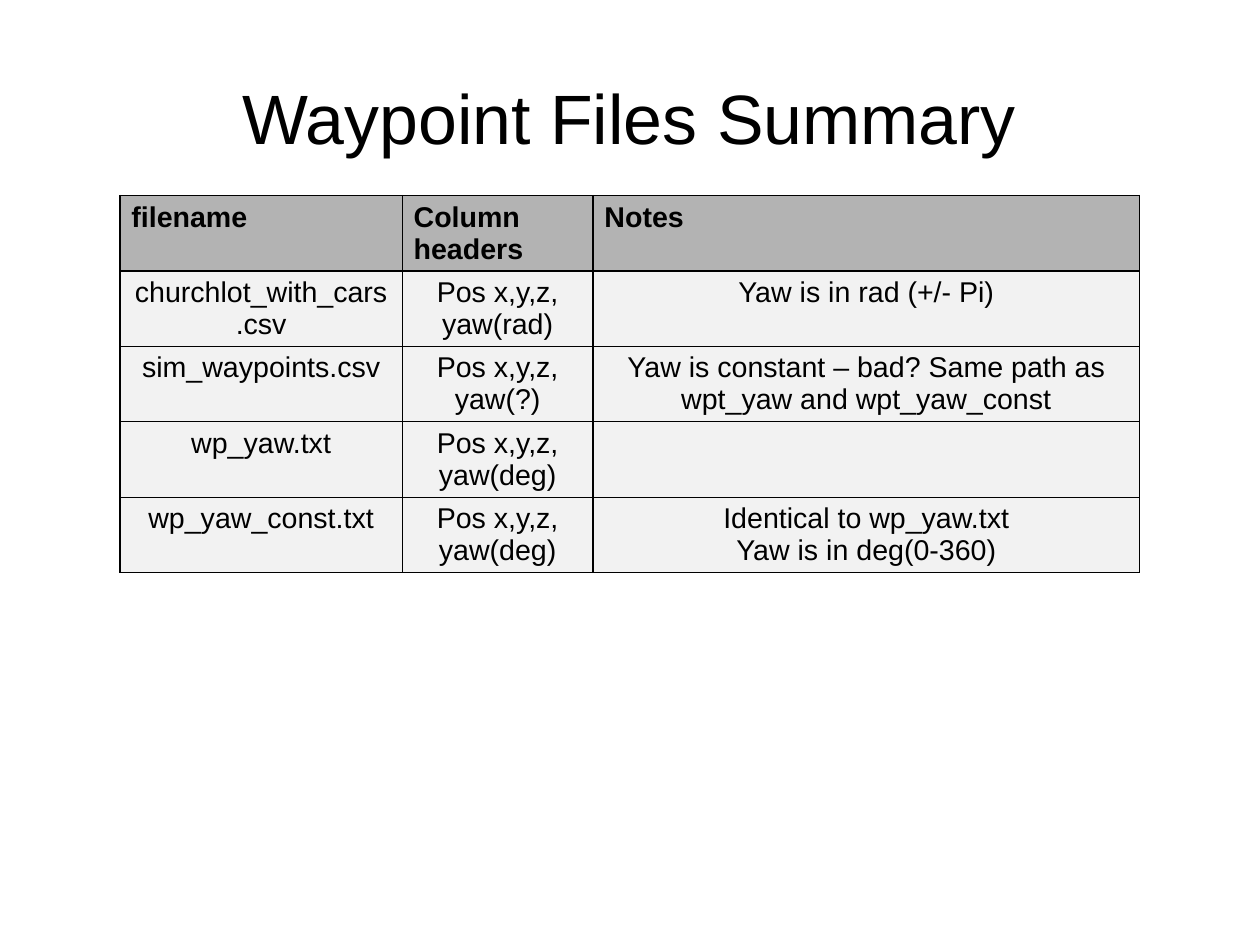
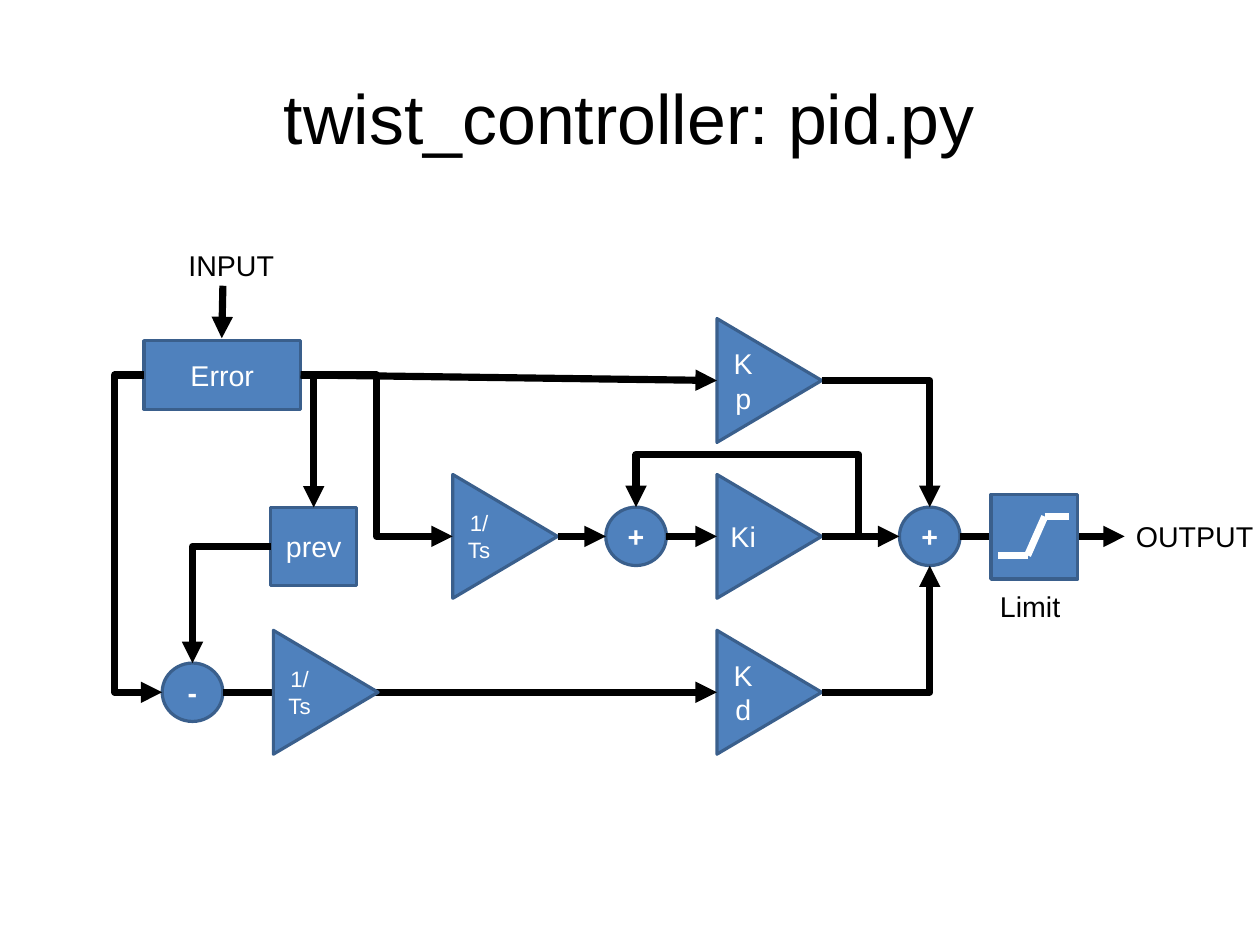
from lxml.etree import SubElement
from pptx import Presentation
from pptx.dml.color import RGBColor
from pptx.enum.shapes import MSO_CONNECTOR as CONN, MSO_SHAPE as SHAPE
from pptx.enum.text import MSO_ANCHOR as ANCHOR, MSO_AUTO_SIZE as FIT, PP_ALIGN as ALIGN
from pptx.oxml.ns import qn
from pptx.util import Pt

BLACK, WHITE, BLUE, EDGE = "000000", "FFFFFF", "4F81BD", "3A5F8C"
HEADER, BODY = "B3B3B3", "F2F2F2"
SITES = {
    SHAPE.RECTANGLE: {"top": 0, "left": 1, "bottom": 2, "right": 3},
    SHAPE.OVAL: {"top": 0, "left": 2, "bottom": 4, "right": 6},
    SHAPE.ISOSCELES_TRIANGLE: {"right": 0, "left": 3},
}
SIDES = {"top": (0, -1), "left": (-1, 0), "bottom": (0, 1), "right": (1, 0)}


def rgb(value):
    return RGBColor.from_string(value)


class Deck:
    """Holds the shared style and the slide being built."""

    def __init__(self, width, height):
        self.prs = Presentation()
        self.prs.slide_width, self.prs.slide_height = Pt(width), Pt(height)
        self.s = None

    def slide(self, title):
        self.s = self.prs.slides.add_slide(self.prs.slide_layouts[5])
        sp = self.s.shapes.title
        sp.left, sp.top, sp.width, sp.height = Pt(39.6), Pt(23.8), Pt(714.2), Pt(99.4)
        tf = sp.text_frame
        self.set_text(tf, title, 44, BLACK, ALIGN.CENTER)
        tf.margin_left = tf.margin_right = tf.margin_top = tf.margin_bottom = 0
        tf.vertical_anchor = ANCHOR.MIDDLE
        tf.auto_size = FIT.NONE

    def set_text(self, tf, text, size=18, color=BLACK, align=ALIGN.LEFT, bold=False):
        tf.text = text
        for p in tf.paragraphs:
            p.alignment = align
            for r in p.runs:
                r.font.name, r.font.size, r.font.bold = "Arial", Pt(size), bold
                r.font.color.rgb = rgb(color)

    def label(self, text, x, y, w):
        tf = self.s.shapes.add_textbox(Pt(x), Pt(y), Pt(w), Pt(29)).text_frame
        tf.word_wrap = False
        tf.auto_size = FIT.SHAPE_TO_FIT_TEXT
        self.set_text(tf, text)

    def table(self, x, y, widths, row_height, rows):
        frame = self.s.shapes.add_table(len(rows), len(widths), Pt(x), Pt(y),
                                        Pt(sum(widths)), Pt(row_height * len(rows)))
        table = frame.table
        table.first_row = table.horz_banding = False
        for column, width in zip(table.columns, widths):
            column.width = Pt(width)
        for i, row in enumerate(rows):
            table.rows[i].height = Pt(row_height)
            for j, text in enumerate(row):
                self.cell(table.cell(i, j), text, i == 0)

    def cell(self, cell, text, header):
        align = ALIGN.LEFT if header else ALIGN.CENTER
        self.set_text(cell.text_frame, text, align=align, bold=header)
        tc_pr = cell._tc.get_or_add_tcPr()
        for edge in "LRTB":
            ln = SubElement(tc_pr, qn(f"a:ln{edge}"), w=str(Pt(1)))
            SubElement(SubElement(ln, qn("a:solidFill")), qn("a:srgbClr"), val=BLACK)
        cell.fill.solid()
        cell.fill.fore_color.rgb = rgb(HEADER if header else BODY)

    def block(self, kind, text, cx, cy, w, h, size=18, bold=False):
        sp = self.s.shapes.add_shape(kind, Pt(cx - w / 2), Pt(cy - h / 2), Pt(w), Pt(h))
        sp.shadow.inherit = False
        sp.fill.solid()
        sp.fill.fore_color.rgb = rgb(BLUE)
        sp.line.color.rgb = rgb(EDGE)
        sp.line.width = Pt(2)
        sp.text_frame.vertical_anchor = ANCHOR.MIDDLE
        self.set_text(sp.text_frame, text, size, WHITE, ALIGN.CENTER, bold)
        return sp

    def gain(self, text, cx, cy, size=18):
        sp = self.block(SHAPE.ISOSCELES_TRIANGLE, text, cx, cy, 78, 66, size)
        sp.rotation = 90
        sp.text_frame._txBody.find(qn("a:bodyPr")).set("vert", "vert270")
        return sp

    def junction(self, sign, cx, cy):
        return self.block(SHAPE.OVAL, sign, cx, cy, 38.2, 36.8, bold=True)

    def line(self, x1, y1, x2, y2, color=BLACK, arrow=True, shapes=None):
        shapes = self.s.shapes if shapes is None else shapes
        c = shapes.add_connector(CONN.STRAIGHT, Pt(x1), Pt(y1), Pt(x2), Pt(y2))
        c.line.color.rgb = rgb(color)
        c.line.width = Pt(4.5)
        pr = c._element.spPr
        if arrow:
            SubElement(pr.find(qn("a:ln")), qn("a:tailEnd"), type="triangle")
        SubElement(pr, qn("a:effectLst"))
        return c

    def port(self, sp, side):
        w, h = sp.width.pt, sp.height.pt
        cx, cy = sp.left.pt + w / 2, sp.top.pt + h / 2
        if sp.rotation == 90:
            w, h = h, w
        dx, dy = SIDES[side]
        return cx + dx * w / 2, cy + dy * h / 2

    def wire(self, a, side_a, b, side_b, preset="straightConnector1", adjust=()):
        c = self.line(*self.port(a, side_a), *self.port(b, side_b))
        geom = c._element.spPr.find(qn("a:prstGeom"))
        geom.set("prst", preset)
        for i, value in enumerate(adjust, 1):
            SubElement(geom.find(qn("a:avLst")), qn("a:gd"),
                       name=f"adj{i}", fmla=f"val {round(value * 100000)}")
        links = c._element.nvCxnSpPr.cNvCxnSpPr
        for tag, sp, side in (("a:stCxn", a, side_a), ("a:endCxn", b, side_b)):
            SubElement(links, qn(tag), id=str(sp.shape_id),
                       idx=str(SITES[sp.auto_shape_type][side]))


def waypoint_slide(deck):
    deck.slide("Waypoint Files Summary")
    deck.table(75.6, 123.1, (177.8, 120.2, 344.2), 47.5, (
        ("filename", "Column headers", "Notes"),
        ("churchlot_with_cars.csv", "Pos x,y,z, yaw(rad)", "Yaw is in rad (+/- Pi)"),
        ("sim_waypoints.csv", "Pos x,y,z, yaw(?)",
         "Yaw is constant – bad? Same path as wpt_yaw and wpt_yaw_const"),
        ("wp_yaw.txt", "Pos x,y,z, yaw(deg)", ""),
        ("wp_yaw_const.txt", "Pos x,y,z, yaw(deg)",
         "Identical to wp_yaw.txt\nYaw is in deg(0-360)"),
    ))


def pid_slide(deck):
    deck.slide("twist_controller: pid.py")
    top, mid, low = (239.7 + 98.2 * i for i in range(3))
    kp, ki, kd = (deck.gain(text, 484.6, y)
                  for text, y in (("Kp", top), ("Ki", mid), ("Kd", low)))
    error = deck.block(SHAPE.RECTANGLE, "Error", 140, 236.2, 98.6, 43.2)
    prev = deck.block(SHAPE.RECTANGLE, "prev", 197.6, 344.2, 54, 49)
    minus = deck.junction("-", 121.3, low)
    plus_i = deck.junction("+", 400.7, mid)
    plus_out = deck.junction("+", 585.7, mid)

    deck.wire(minus, "right", kd, "left")
    deck.gain("1/Ts", 205.2, low, 14)
    ts = deck.gain("1/Ts", 318.2, mid, 14)

    for a, b in ((error, kp), (ts, plus_i), (plus_i, ki), (ki, plus_out)):
        deck.wire(a, "right", b, "left")
    for a, side_a, b, side_b in (
            (kp, "right", plus_out, "top"), (kd, "right", plus_out, "bottom"),
            (error, "right", prev, "top"), (prev, "left", minus, "top")):
        deck.wire(a, side_a, b, side_b, "bentConnector2")
    deck.wire(error, "left", minus, "left", "bentConnector3", (-1.6,))
    deck.wire(error, "right", ts, "left", "bentConnector3", (0.5,))
    deck.wire(ki, "right", plus_i, "top", "bentConnector4", (-0.2, 2.8))

    deck.line(140.4, 180, 139.7, 213.1)
    deck.line(604.8, mid, 708.5, mid)
    deck.label("INPUT", 111.6, 152.6, 69)
    deck.label("OUTPUT", 708.5, 323.3, 89.3)
    deck.block(SHAPE.RECTANGLE, "", 651.6, 338.2, 54.7, 53.3)
    curve = deck.s.shapes.add_group_shape().shapes
    points = ((628.6, 349.9), (647.3, 349.9), (658.1, 325.4), (673.2, 325.4))
    for start, end in zip(points, points[1:]):
        deck.line(*start, *end, WHITE, False, curve)
    deck.label("Limit", 622.8, 367.2, 52.6)


def main():
    deck = Deck(793.7, 595.3)
    waypoint_slide(deck)
    pid_slide(deck)
    deck.prs.save("out.pptx")


if __name__ == "__main__":
    main()
